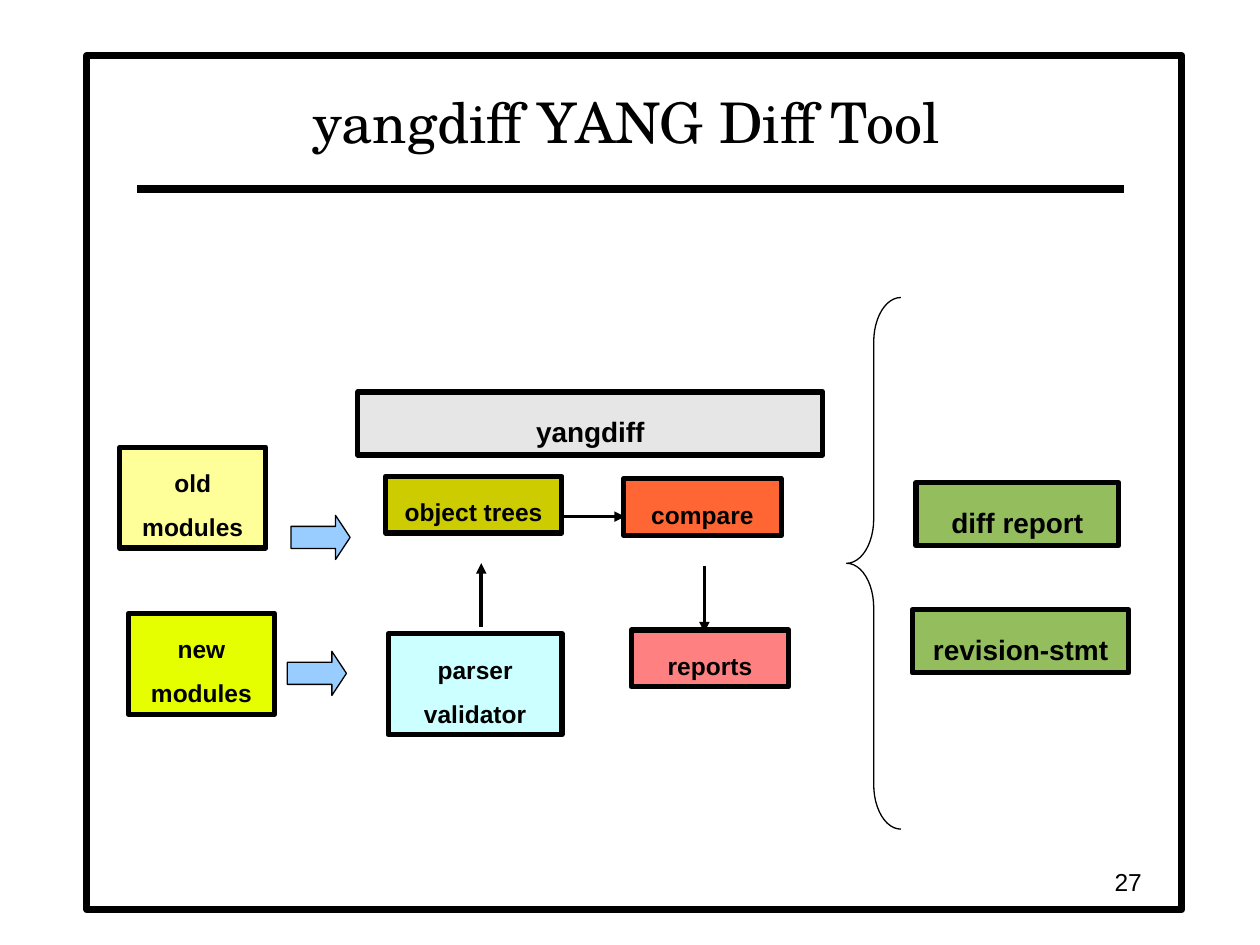
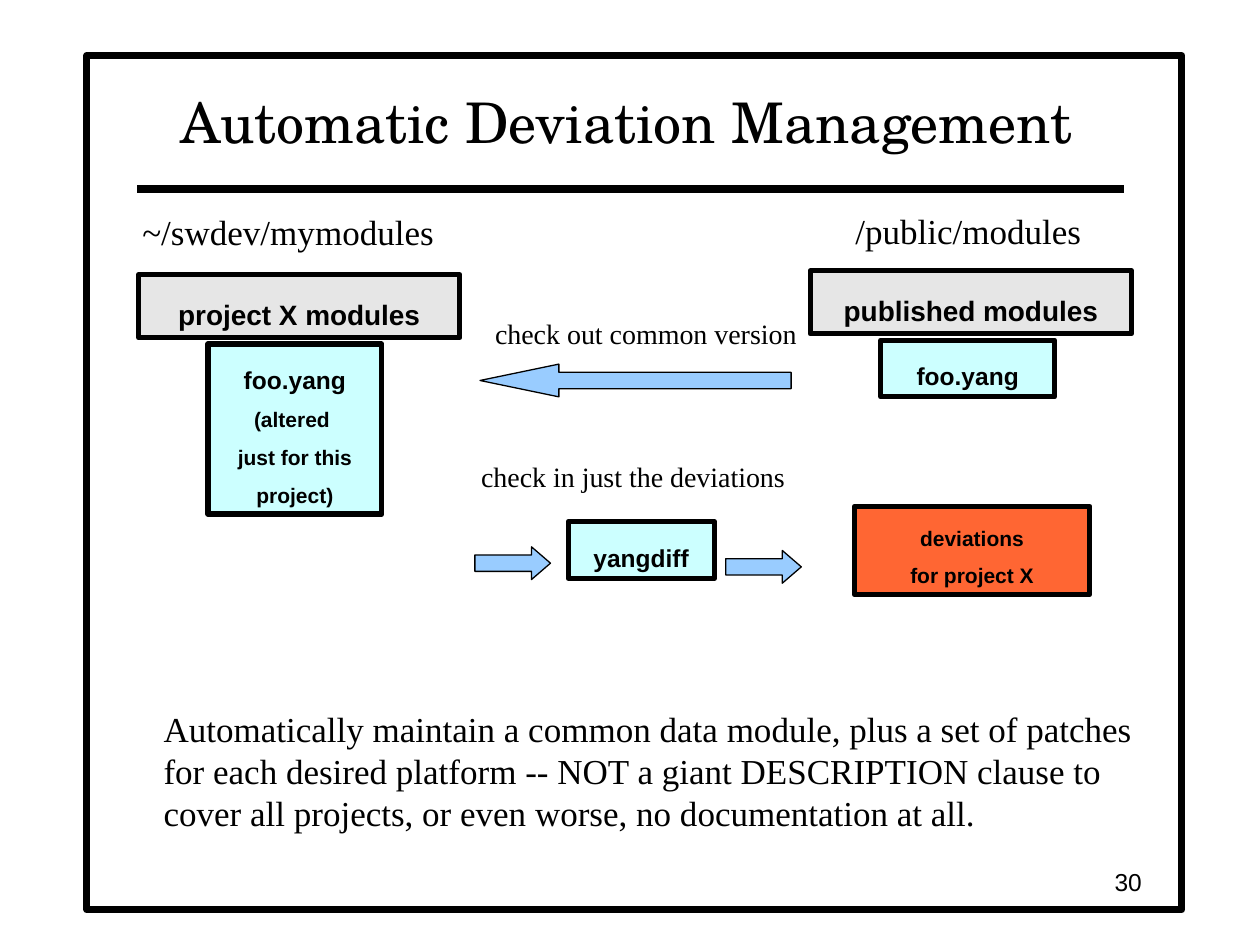
from copy import deepcopy

from lxml.etree import SubElement
from pptx import Presentation
from pptx.dml.color import RGBColor
from pptx.enum.shapes import MSO_CONNECTOR, MSO_SHAPE
from pptx.enum.text import MSO_ANCHOR, MSO_AUTO_SIZE, PP_ALIGN
from pptx.oxml.ns import qn
from pptx.util import Pt

COLORS = {
    "black": "000000", "white": "FFFFFF", "gray": "E6E6E6",
    "cream": "FFFF99", "lime": "E6FF00", "cyan": "CCFFFF",
    "olive": "CCCC00", "orange": "FF6633", "pink": "FF8080",
    "green": "94BD5E", "blue": "99CCFF",
}
HAIRLINE = 0


def write(shape, text, size=14, first_size=None, font="Arial", bold=False,
          align=PP_ALIGN.LEFT, anchor=MSO_ANCHOR.TOP, inset=True, wrap=True,
          line_spacing=None, space_before=0):
    """Write one paragraph, with a line break at each newline."""
    frame = shape.text_frame
    frame.word_wrap = wrap
    frame.auto_size = MSO_AUTO_SIZE.NONE if wrap else MSO_AUTO_SIZE.SHAPE_TO_FIT_TEXT
    frame.vertical_anchor = anchor
    frame.margin_left = frame.margin_right = Pt(7.2 if inset else 0)
    frame.margin_top = frame.margin_bottom = Pt(3.6 if inset else 0)
    paragraph = frame.paragraphs[0]
    paragraph.alignment = align
    paragraph.space_before = Pt(space_before)
    if line_spacing:
        paragraph.line_spacing = line_spacing
    for index, line in enumerate(text.split("\n")):
        if index:
            paragraph.add_line_break()
            paragraph._p[-1].append(deepcopy(run._r.rPr))
        run = paragraph.add_run()
        run.text = line
        run.font.name = font
        run.font.bold = bold
        run.font.size = Pt(first_size if first_size and index == 0 else size)
        run.font.color.rgb = RGBColor.from_string(COLORS["black"])


def draw(slide, preset, left, top, width, height, fill=None, line=HAIRLINE,
         adjustments=()):
    """Add a black-outlined preset shape without shadow and return it."""
    shape = slide.shapes.add_shape(preset, Pt(left), Pt(top), Pt(width), Pt(height))
    shape.shadow.inherit = False
    for index, value in enumerate(adjustments):
        shape.adjustments[index] = value
    if fill:
        shape.fill.solid()
        shape.fill.fore_color.rgb = RGBColor.from_string(COLORS[fill])
    else:
        shape.fill.background()
    shape.line.color.rgb = RGBColor.from_string(COLORS["black"])
    shape.line.width = Pt(line)
    return shape


RIGHT, LEFT = MSO_SHAPE.RIGHT_ARROW, MSO_SHAPE.LEFT_ARROW

# boxes: text, left, top, width, size, fill
# block_arrows: preset, left, top, width, height, head length / height
# flows: start x, start y, end x, end y
# labels: text, left, top, width, height, size
pages = [
    {
        "title": "yangdiff YANG Diff Tool",
        "number": "27",
        "boxes": [
            ("yangdiff", 204.5, 224, 265.7, 16, "gray"),
            ("old\nmodules", 68.4, 255.6, 83.5, 14, "cream"),
            ("new\nmodules", 73.4, 350.6, 83.5, 14, "lime"),
            ("parser\nvalidator", 221.8, 362.2, 99.4, 14, "cyan"),
            ("object trees", 220.3, 272.2, 100.8, 14, "olive"),
            ("compare", 356.4, 273.6, 90, 14, "orange"),
            ("reports", 360.7, 360, 90, 14, "pink"),
            ("diff report", 523.4, 275.8, 115.9, 16, "green"),
            ("revision-stmt", 521.3, 348.5, 123.8, 16, "green"),
        ],
        "block_arrows": [
            (RIGHT, 166.3, 294.5, 33.8, 25.2, 0.33),
            (RIGHT, 164.2, 372.2, 33.8, 25.2, 0.33),
        ],
        "flows": [
            (275, 358.5, 275, 321.8),
            (321.8, 295.2, 357.1, 295.2),
            (402.5, 323.3, 402.5, 361.4),
        ],
        "labels": [],
    },
    {
        "title": "Automatic Deviation Management",
        "number": "30",
        "boxes": [
            ("project X modules", 79.2, 157, 183.6, 16, "gray"),
            ("published modules", 463, 154.8, 183.6, 16, "gray"),
            ("foo.yang", 503.3, 194.4, 99.4, 14, "cyan"),
            ("deviations\nfor project X", 488.2, 289.4, 134.6, 12, "orange"),
            ("yangdiff", 324.7, 298.1, 83.5, 14, "cyan"),
        ],
        "block_arrows": [
            (LEFT, 274.3, 208.1, 177.8, 18.7, 2.41),
            (RIGHT, 271.4, 312.5, 43.2, 18.7, 0.58),
            (RIGHT, 414.7, 314.6, 43.2, 18.7, 0.58),
        ],
        "flows": [],
        "labels": [
            ("~/swdev/mymodules", 74.2, 116.6, 181.4, 31, 20),
            ("/public/modules", 481.7, 115.9, 143.3, 31, 20),
            ("check out common version", 275.8, 177.1, 187.2, 26.6, 16),
            ("check in just the deviations", 267.8, 259.2, 188.6, 26.6, 16),
            ("Automatically maintain a common data module, plus a set of patches \n"
             "for each desired platform -- NOT a giant DESCRIPTION clause to \n"
             "cover all projects, or even worse, no documentation at all.",
             86.4, 401, 573.8, 79.2, 20),
        ],
    },
]

box_style = {"bold": True, "align": PP_ALIGN.CENTER, "line_spacing": 1.5,
             "space_before": 8.7}

deck = Presentation()
deck.slide_width, deck.slide_height = Pt(720), Pt(540)
slides = []

for page in pages:
    slide = deck.slides.add_slide(deck.slide_layouts[6])
    slides.append(slide)

    # Shared frame, title, rule and slide number
    draw(slide, MSO_SHAPE.RECTANGLE, 49.7, 31.7, 625.7, 488.2, "white", line=4)
    title = slide.shapes.add_textbox(Pt(77.8), Pt(39.6), Pt(560.9), Pt(59))
    write(title, page["title"], size=32, font="TeX Gyre Schola", inset=False,
          align=PP_ALIGN.CENTER, anchor=MSO_ANCHOR.MIDDLE)
    number = slide.shapes.add_textbox(Pt(509.8), Pt(491.8), Pt(149.8), Pt(23.8))
    write(number, page["number"], align=PP_ALIGN.RIGHT, anchor=MSO_ANCHOR.MIDDLE)

    # A box is as tall as its lines need: 1.8 times the size each, plus margins
    for text, left, top, width, size, fill in page["boxes"]:
        height = 7.2 + 1.8 * size * len(text.split("\n"))
        box = draw(slide, MSO_SHAPE.RECTANGLE, left, top, width, height, fill, line=3)
        write(box, text, size=size, **box_style)

    for preset, left, top, width, height, head in page["block_arrows"]:
        draw(slide, preset, left, top, width, height, "blue", adjustments=(0.5, head))

    for text, left, top, width, height, size in page["labels"]:
        label = slide.shapes.add_textbox(Pt(left), Pt(top), Pt(width), Pt(height))
        write(label, text, size=size, font="Times New Roman", wrap=False)

    # The title rule is the only line without an arrowhead
    title_rule = (78.5, 108, 642.2, 108)
    for ends in [title_rule] + page["flows"]:
        connector = slide.shapes.add_connector(MSO_CONNECTOR.STRAIGHT, *map(Pt, ends))
        connector.line.color.rgb = RGBColor.from_string(COLORS["black"])
        connector.line.width = Pt(4.5 if ends == title_rule else HAIRLINE)
        if ends != title_rule:
            SubElement(connector.line._get_or_add_ln(), qn("a:tailEnd"), type="triangle")
        SubElement(connector._element.spPr, qn("a:effectLst"))

diff_slide, deviation_slide = slides

# Brace that gathers the two results of the diff tool
draw(diff_slide, MSO_SHAPE.LEFT_BRACE, 483.8, 170, 31, 303.8, adjustments=(0.82, 0.5))

# Altered module, whose last line wraps inside the box
altered_module = draw(deviation_slide, MSO_SHAPE.RECTANGLE, 118.8, 196.6, 99.4, 97.2,
                      "cyan", line=3)
write(altered_module, "foo.yang\n(altered \njust for this project)", size=12,
      first_size=14, **box_style)

deck.save("out.pptx")
